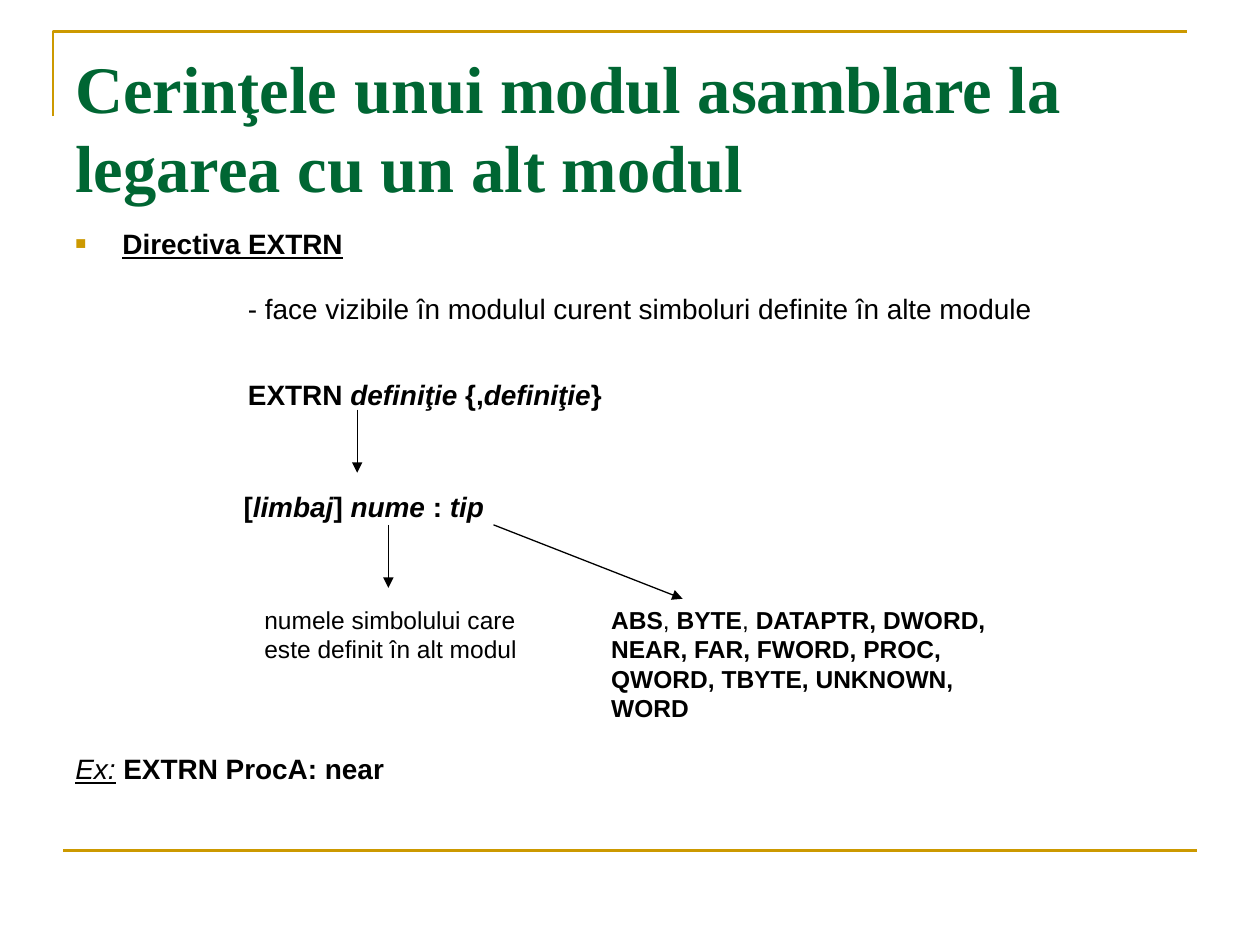
from lxml import etree
from pptx import Presentation
from pptx.dml.color import RGBColor
from pptx.enum.shapes import MSO_CONNECTOR
from pptx.oxml.ns import qn
from pptx.util import Cm, Pt

LINE = MSO_CONNECTOR.STRAIGHT
GOLD = RGBColor(0xCC, 0x99, 0x00)
GREEN = RGBColor(0x00, 0x66, 0x33)
BLACK = RGBColor(0x00, 0x00, 0x00)

LEFT = 1.27
WIDE = 22.86
INDENT = 0.95
DEEP = 3.48


def add_bullet(para):
    props = para._p.get_or_add_pPr()
    props.set("marL", str(Cm(INDENT)))
    props.set("indent", str(-Cm(INDENT)))
    color = etree.SubElement(props, qn("a:buClr"))
    etree.SubElement(color, qn("a:srgbClr"), val=str(GOLD))
    etree.SubElement(props, qn("a:buSzPct"), val="65000")
    etree.SubElement(props, qn("a:buFont"), typeface="Arial")
    etree.SubElement(props, qn("a:buChar"), char="■")


def add_run(para, text, size=16, font="Arial", color=BLACK, style=""):
    run = para.add_run()
    run.text = text
    face = run.font
    face.name = font
    face.size = Pt(size)
    face.color.rgb = color
    face.bold = "b" in style
    face.italic = "i" in style
    face.underline = "u" in style


def add_runs(para, parts, **form):
    for text, style in parts:
        add_run(para, text, style=style, **form)


def add_box(slide, left, top, width, height):
    box = slide.shapes.add_textbox(Cm(left), Cm(top), Cm(width), Cm(height))
    frame = box.text_frame
    frame.word_wrap = True
    return frame


def add_label(slide, place, parts, **form):
    para = add_box(slide, *place).paragraphs[0]
    add_runs(para, parts, **form)
    return para


def add_line(slide, start, end, color=BLACK, width=0.75, arrow=True):
    ends = [Cm(value) for value in (*start, *end)]
    line = slide.shapes.add_connector(LINE, *ends)
    line.line.color.rgb = color
    line.line.width = Pt(width)
    if arrow:
        etree.SubElement(line.line._get_or_add_ln(), qn("a:tailEnd"), type="triangle")
    etree.SubElement(line._element.spPr, qn("a:effectLst"))


def add_frame(slide):
    path = slide.shapes.build_freeform(Cm(1.07), Cm(2.34))
    path.add_line_segments([(Cm(1.07), Cm(0.64)), (Cm(23.93), Cm(0.64))], close=False)
    shape = path.convert_to_shape()
    shape.shadow.inherit = False
    shape.fill.background()
    shape.line.color.rgb = GOLD
    shape.line.width = Pt(1.5)
    add_line(slide, (LEFT, 17.15), (LEFT + WIDE, 17.15), color=GOLD, width=1.5, arrow=False)


def add_body(slide):
    frame = add_box(slide, LEFT, 4.45, WIDE, 4.01)
    head = frame.paragraphs[0]
    add_bullet(head)
    add_run(head, "Directiva EXTRN", style="bu")
    rows = [
        (17.6, [("- face vizibile în modulul curent simboluri definite în alte module", "")]),
        (30.2, [("EXTRN ", "b"), ("definiţie", "bi"), (" {,", "b"),
                ("definiţie", "bi"), ("}", "b")]),
    ]
    for gap, parts in rows:
        para = frame.add_paragraph()
        para._p.get_or_add_pPr().set("marL", str(Cm(DEEP)))
        para.space_before = Pt(gap)
        add_runs(para, parts)


def main():
    deck = Presentation()
    deck.slide_width, deck.slide_height = Cm(25.4), Cm(19.05)
    slide = deck.slides.add_slide(deck.slide_layouts[6])
    add_frame(slide)
    title = add_label(
        slide, (LEFT, 0.81, WIDE, 3.18),
        [("Cerinţele unui modul asamblare la legarea cu un alt modul", "b")],
        size=38, font="Times New Roman", color=GREEN)
    title.line_spacing = Pt(45.7)
    add_body(slide)
    add_label(slide, (4.66, 9.74, 5.72, 0.93), [
        ("[", "b"), ("limbaj", "bi"), ("] ", "b"), ("nume", "bi"),
        (" : ", "b"), ("tip", "bi")])
    add_label(slide, (12.07, 12.07, 9.1, 2.64), [
        ("ABS", "b"), (", ", ""), ("BYTE", "b"), (", ", ""),
        ("DATAPTR, DWORD, NEAR, FAR, FWORD, PROC, QWORD, TBYTE, UNKNOWN, WORD", "b")],
        size=14)
    add_label(slide, (5.08, 12.07, 6.35, 1.45),
              [("numele simbolului care este definit în alt modul", "")], size=14)
    add_label(slide, (LEFT, 15.03, 23.28, 0.93),
              [("Ex:", "iu"), (" ", ""), ("EXTRN ProcA: near", "b")])
    arrows = [
        ((7.2, 8.26), (7.2, 9.53)),
        ((9.95, 10.58), (13.76, 12.07)),
        ((7.83, 10.58), (7.83, 11.85)),
    ]
    for start, end in arrows:
        add_line(slide, start, end)
    deck.save("out.pptx")


if __name__ == "__main__":
    main()
